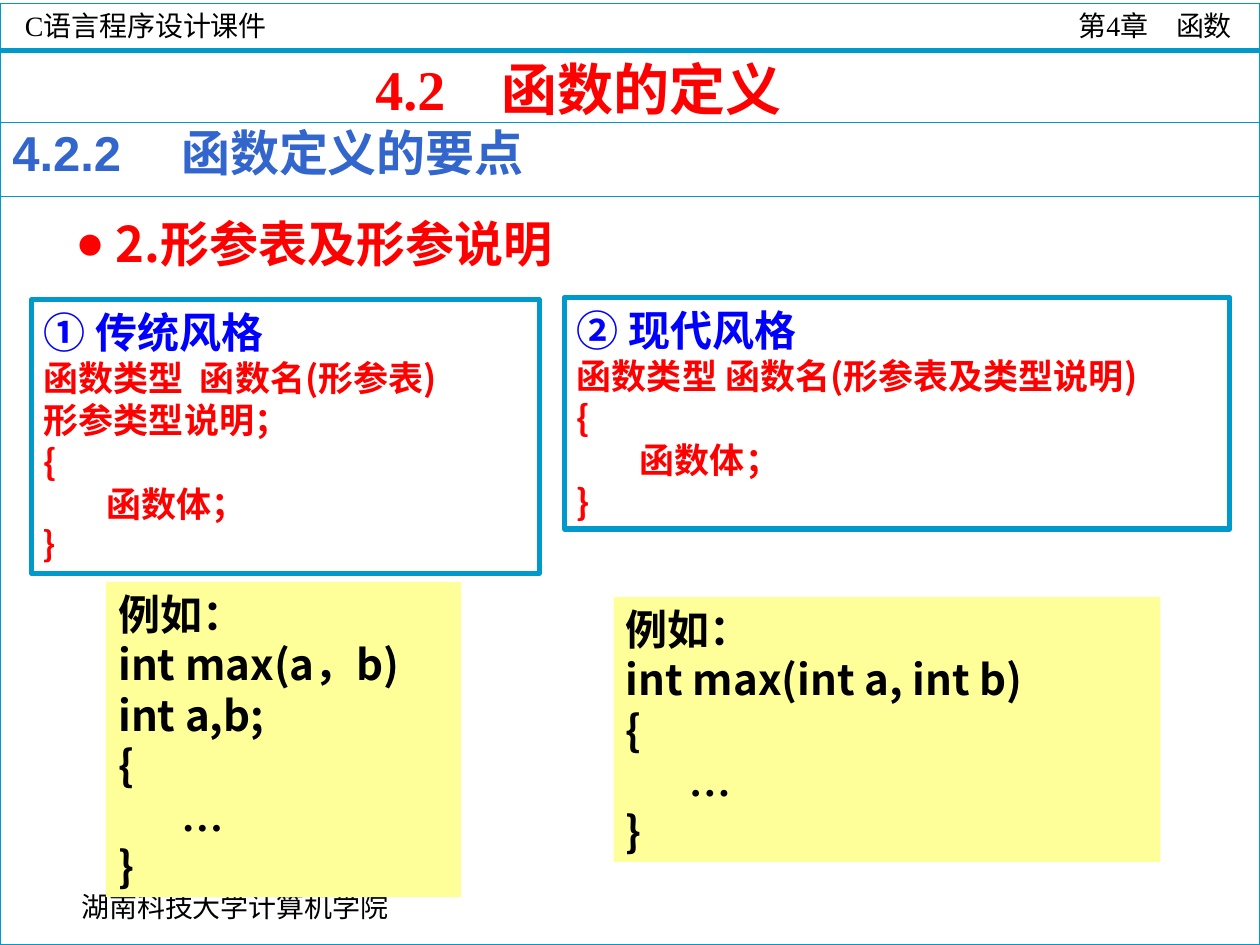
from lxml.etree import SubElement
from pptx import Presentation
from pptx.dml.color import RGBColor
from pptx.enum.shapes import MSO_CONNECTOR as Connector, MSO_SHAPE as Shape
from pptx.enum.text import MSO_ANCHOR as Anchor, PP_ALIGN as Align
from pptx.oxml.ns import qn
from pptx.util import Inches, Pt

WIDTH, HEIGHT = 10, 7.5
SANS, SERIF, LATIN = "Noto Sans CJK SC", "Times New Roman", "Arial"
TEAL = RGBColor(0x00, 0x99, 0xCC)
RED = RGBColor(0xFF, 0x00, 0x00)
BLUE = RGBColor(0x00, 0x00, 0xFF)
HEADING_BLUE = RGBColor(0x33, 0x66, 0xCC)
YELLOW = RGBColor(0xFF, 0xFF, 0x99)
BLACK = RGBColor(0x00, 0x00, 0x00)


def add_span(para, text, size, color, font=SANS, bold=True):
    span = para.add_run()
    span.text = text
    span.font.name = font
    span.font.size = Pt(size)
    span.font.bold = bold
    span.font.color.rgb = color
    SubElement(span.font._element, qn("a:ea"), typeface=SANS)


def set_frame(box, anchor, top=0.05):
    """Set insets, wrapping and anchor; return the first paragraph."""
    frame = box.text_frame
    frame.word_wrap = True
    frame.vertical_anchor = anchor
    frame.margin_left = frame.margin_right = Inches(0.1)
    frame.margin_top, frame.margin_bottom = Inches(top), Inches(0.05)
    para = frame.paragraphs[0]
    para.alignment = Align.LEFT
    return para


def add_text(page, place, anchor=Anchor.MIDDLE):
    box = page.shapes.add_textbox(*map(Inches, place))
    return set_frame(box, anchor)


def add_panel(page, place, fill=None, line=None, weight=0.75):
    panel = page.shapes.add_shape(Shape.RECTANGLE, *map(Inches, place))
    panel.shadow.inherit = False
    if fill is None:
        panel.fill.background()
    else:
        panel.fill.solid()
        panel.fill.fore_color.rgb = fill
    if line is None:
        panel.line.fill.background()
    else:
        panel.line.color.rgb = line
        panel.line.width = Pt(weight)
    return panel


def fill_lines(panel, lines):
    """Write one paragraph per (text, size, color) line."""
    para = set_frame(panel, Anchor.MIDDLE)
    for index, (text, size, color) in enumerate(lines):
        if index:
            para = panel.text_frame.add_paragraph()
            para.alignment = Align.LEFT
        indent, dots, _ = text.partition("…")
        if indent:
            add_span(para, indent, size, color)
        if dots:
            add_span(para, dots, size, color, SERIF)


def add_style(page, place, title, syntax):
    panel = add_panel(page, place, line=TEAL, weight=3)
    fill_lines(panel, [(title, 24, BLUE)] + [(text, 20, RED) for text in syntax])


def add_example(page, place, code):
    panel = add_panel(page, place, fill=YELLOW)
    fill_lines(panel, [(text, 24, BLACK) for text in ["例如：", *code]])


def add_rule(page, y):
    rule = page.shapes.add_connector(
        Connector.STRAIGHT, 0, Inches(y), Inches(WIDTH), Inches(y))
    rule.line.color.rgb = TEAL
    rule.line.width = Pt(3)
    SubElement(rule._element.spPr, qn("a:effectLst"))


def add_header_footer(page):
    add_panel(page, (0, 0.03, WIDTH, HEIGHT - 0.03), line=TEAL)
    add_rule(page, 0.4)
    header = add_text(page, (0.1, 0.02, WIDTH - 0.2, 0.36))
    tabs = SubElement(header._p.get_or_add_pPr(), qn("a:tabLst"))
    SubElement(tabs, qn("a:tab"), pos=str(Inches(9.58)), algn="r")
    add_span(header, "C语言程序设计课件\t第4章　函数", 16, BLACK, SERIF, False)
    footer = add_text(page, (0.45, 6.94, 2.83, 0.5))
    footer.alignment = Align.CENTER
    add_span(footer, "湖南科技大学计算机学院", 16, BLACK, SERIF, False)


def add_headings(page):
    title = add_text(page, (2.88, 0.38, 5.75, 0.64), Anchor.TOP)
    add_span(title, "4.2　函数的定义", 32, RED, SERIF)
    section = set_frame(
        add_panel(page, (0, 0.97, WIDTH, 0.59), line=TEAL), Anchor.TOP, 0)
    add_span(section, "4.2.2　 ", 28, HEADING_BLUE, LATIN)
    add_span(section, "函数定义的要点", 28, HEADING_BLUE)


def add_topic(page):
    topic = add_text(page, (0, 1.64, 9.23, 0.57))
    props = topic._p.get_or_add_pPr()
    props.set("marL", "0")
    props.set("indent", str(Inches(0.5)))
    color = SubElement(props, qn("a:buClr"))
    SubElement(color, qn("a:srgbClr"), val=str(RED))
    SubElement(props, qn("a:buFont"), typeface=LATIN)
    SubElement(props, qn("a:buChar"), char="●")
    add_span(topic, " 2.形参表及形参说明", 28, RED)


def main():
    deck = Presentation()
    deck.slide_width, deck.slide_height = Inches(WIDTH), Inches(HEIGHT)
    page = deck.slides.add_slide(deck.slide_layouts[6])
    add_header_footer(page)
    add_headings(page)
    add_topic(page)
    add_style(page, (0.25, 2.38, 4.03, 2.17), "① 传统风格",
              ["函数类型  函数名(形参表)", "形参类型说明；", "{", "\t函数体；", "｝"])
    add_style(page, (4.48, 2.36, 5.28, 1.84), "② 现代风格",
              ["函数类型 函数名(形参表及类型说明)", "{", "\t函数体；", "}"])
    add_example(page, (0.84, 4.62, 2.82, 2.5),
                ["int max(a，b)", "int a,b;", "{", "\t…", "}"])
    add_example(page, (4.87, 4.74, 4.34, 2.1),
                ["int max(int a, int b)", "{", "\t…", "}"])
    deck.save("out.pptx")


if __name__ == "__main__":
    main()
